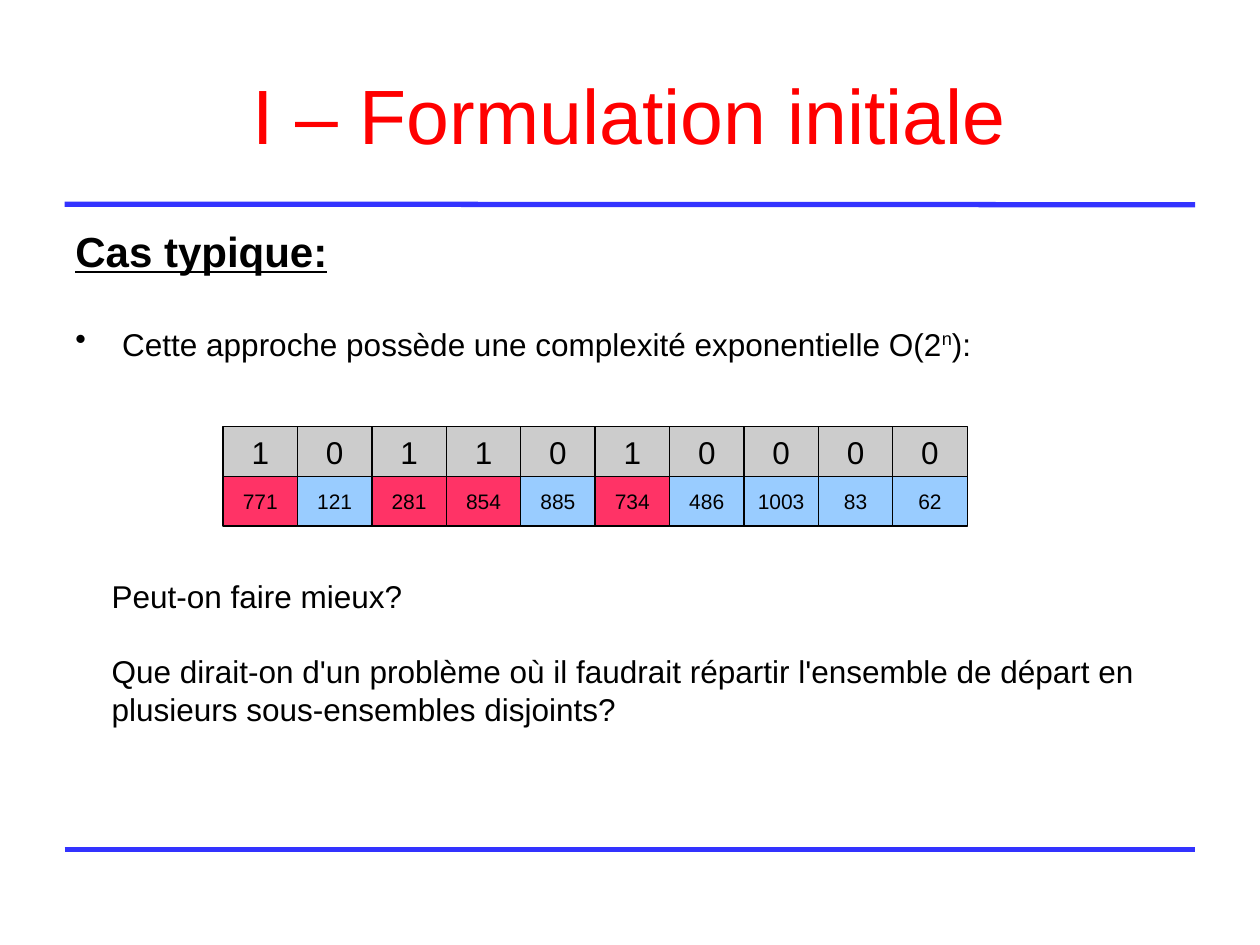
"""Build the slide on the initial formulation and its exponential cost."""
import dataclasses

import lxml.etree
import pptx
import pptx.dml.color
import pptx.enum.shapes
import pptx.enum.text
import pptx.oxml.ns
import pptx.util

Pt = pptx.util.Pt
Align = pptx.enum.text.PP_ALIGN
Anchor = pptx.enum.text.MSO_ANCHOR


@dataclasses.dataclass(frozen=True)
class Theme:
    """Colours, font and type sizes of the slide."""

    font: str = "Arial"
    title: str = "FF0000"
    text: str = "000000"
    rule: str = "3333FF"
    bit: str = "CCCCCC"
    chosen: str = "FF3366"
    rejected: str = "99CCFF"
    title_size: int = 44
    heading_size: int = 24
    body_size: int = 18
    value_size: int = 12


class SlideBuilder:
    """Draw styled elements on one slide."""

    def __init__(self, slide, theme):
        """Keep the slide and its theme."""
        self.slide = slide
        self.theme = theme

    def colour(self, value):
        """Return a colour object for a hexadecimal value."""
        return pptx.dml.color.RGBColor.from_string(value)

    def rule(self, start, end):
        """Draw a blue separator line."""
        line = self.slide.shapes.add_connector(
            pptx.enum.shapes.MSO_CONNECTOR.STRAIGHT, *map(Pt, start + end))
        line.line.color.rgb = self.colour(self.theme.rule)
        line.line.width = Pt(3)
        lxml.etree.SubElement(line._element.spPr, pptx.oxml.ns.qn("a:effectLst"))

    def frame(self, shape, anchor, top_inset=3.6):
        """Prepare the text frame of a shape."""
        frame = shape.text_frame
        frame.word_wrap = True
        frame.vertical_anchor = anchor
        frame.margin_left = frame.margin_right = Pt(7.2)
        frame.margin_top, frame.margin_bottom = Pt(top_inset), Pt(3.6)
        return frame

    def style(self, para, size, colour=None, bold=False, align=Align.LEFT,
              spacing=1.0, before=0):
        """Format a paragraph and all its runs."""
        para.alignment = align
        para.line_spacing = spacing
        para.space_before = Pt(before)
        for span in para.runs:
            span.font.name = self.theme.font
            span.font.size = Pt(size)
            span.font.bold = span.font.underline = bold
            span.font.color.rgb = self.colour(colour or self.theme.text)

    def text_box(self, bounds, texts, anchor=Anchor.TOP, top_inset=3.6):
        """Add a text box and return its paragraphs."""
        box = self.slide.shapes.add_textbox(*map(Pt, bounds))
        frame = self.frame(box, anchor, top_inset)
        frame.text = "\n".join(texts)
        return frame.paragraphs

    def superscript(self, para, raised, rest):
        """Append a raised span followed by normal text."""
        for text, baseline in ((raised, 33000), (rest, 0)):
            span = para.add_run()
            span.text = text
            span.font._element.set("baseline", str(baseline))

    def bullet(self, para, indent):
        """Give a paragraph a hanging round bullet."""
        properties = para._p.get_or_add_pPr()
        properties.set("marL", str(Pt(indent)))
        properties.set("indent", str(-Pt(indent)))
        mark = lxml.etree.SubElement(properties, pptx.oxml.ns.qn("a:buChar"))
        mark.set("char", "•")

    def cell(self, bounds, text, size, fill):
        """Add one outlined cell with centred text."""
        box = self.slide.shapes.add_shape(
            pptx.enum.shapes.MSO_SHAPE.ROUNDED_RECTANGLE, *map(Pt, bounds))
        box.adjustments[0] = 0
        box.shadow.inherit = False
        box.fill.solid()
        box.fill.fore_color.rgb = self.colour(fill)
        box.line.color.rgb = self.colour(self.theme.text)
        box.line.width = Pt(0.75)
        frame = self.frame(box, Anchor.MIDDLE)
        frame.text = text
        self.style(frame.paragraphs[0], size, align=Align.CENTER)

    def cell_row(self, left, top, texts, size, fills):
        """Add a row of adjoining cells."""
        width, height = 42.52, 28.35
        for column, (text, fill) in enumerate(zip(texts, fills)):
            self.cell((left + column * width, top, width, height), text, size, fill)


def main():
    """Create and save the deck."""
    deck = pptx.Presentation()
    deck.slide_width, deck.slide_height = Pt(720), Pt(540)
    theme = Theme()
    page = SlideBuilder(deck.slides.add_slide(deck.slide_layouts[6]), theme)

    page.rule((37, 485.4), (683, 485.4))
    page.rule((37, 116.7), (683, 117))

    title, = page.text_box((36, 21.6, 648, 90), ["I – Formulation initiale"],
                           Anchor.MIDDLE, 6.5)
    page.style(title, theme.title_size, theme.title, align=Align.CENTER, spacing=0.93)

    heading, claim = page.text_box(
        (36, 126, 648, 115.2),
        ["Cas typique:", "Cette approche possède une complexité exponentielle O(2"],
        top_inset=9.4)
    page.superscript(claim, "n", "):")
    page.style(heading, theme.heading_size, bold=True, spacing=0.75)
    page.style(claim, theme.body_size, spacing=0.75, before=33.5)
    page.bullet(claim, 26.8)

    bits = "1011010000"
    values = "771 121 281 854 885 734 486 1003 83 62".split()
    states = [theme.chosen if bit == "1" else theme.rejected for bit in bits]
    page.cell_row(127.5, 272.2, values, theme.value_size, states)
    page.cell_row(127.5, 243.85, bits, theme.body_size, [theme.bit] * len(bits))

    questions = page.text_box(
        (56.7, 326, 610, 151.2),
        ["Peut-on faire mieux?",
         "Que dirait-on d'un problème où il faudrait répartir l'ensemble de départ "
         "en plusieurs sous-ensembles disjoints?"])
    for para, before in zip(questions, (0, 21.5)):
        page.style(para, theme.body_size, before=before)

    deck.save("out.pptx")


if __name__ == "__main__":
    main()
